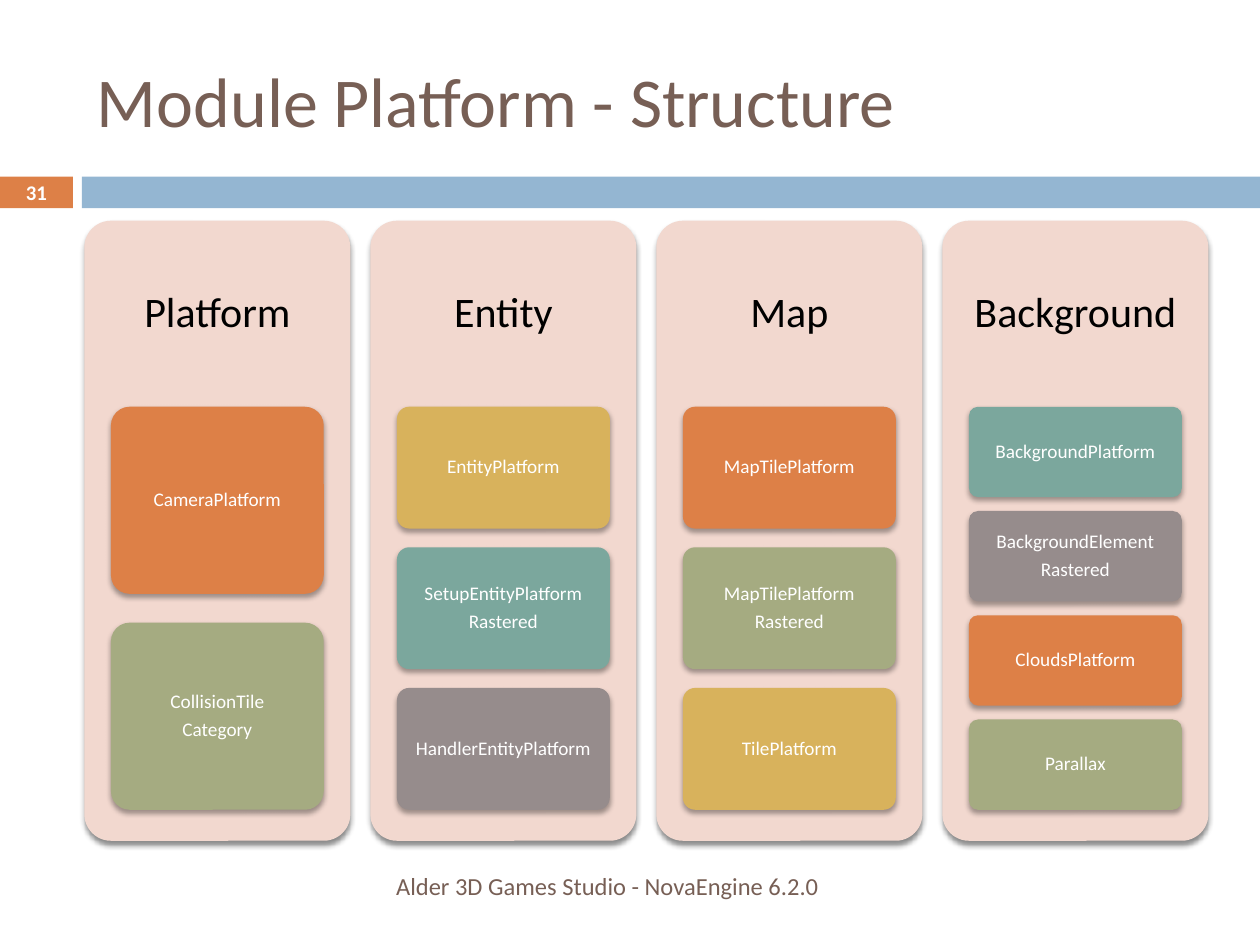
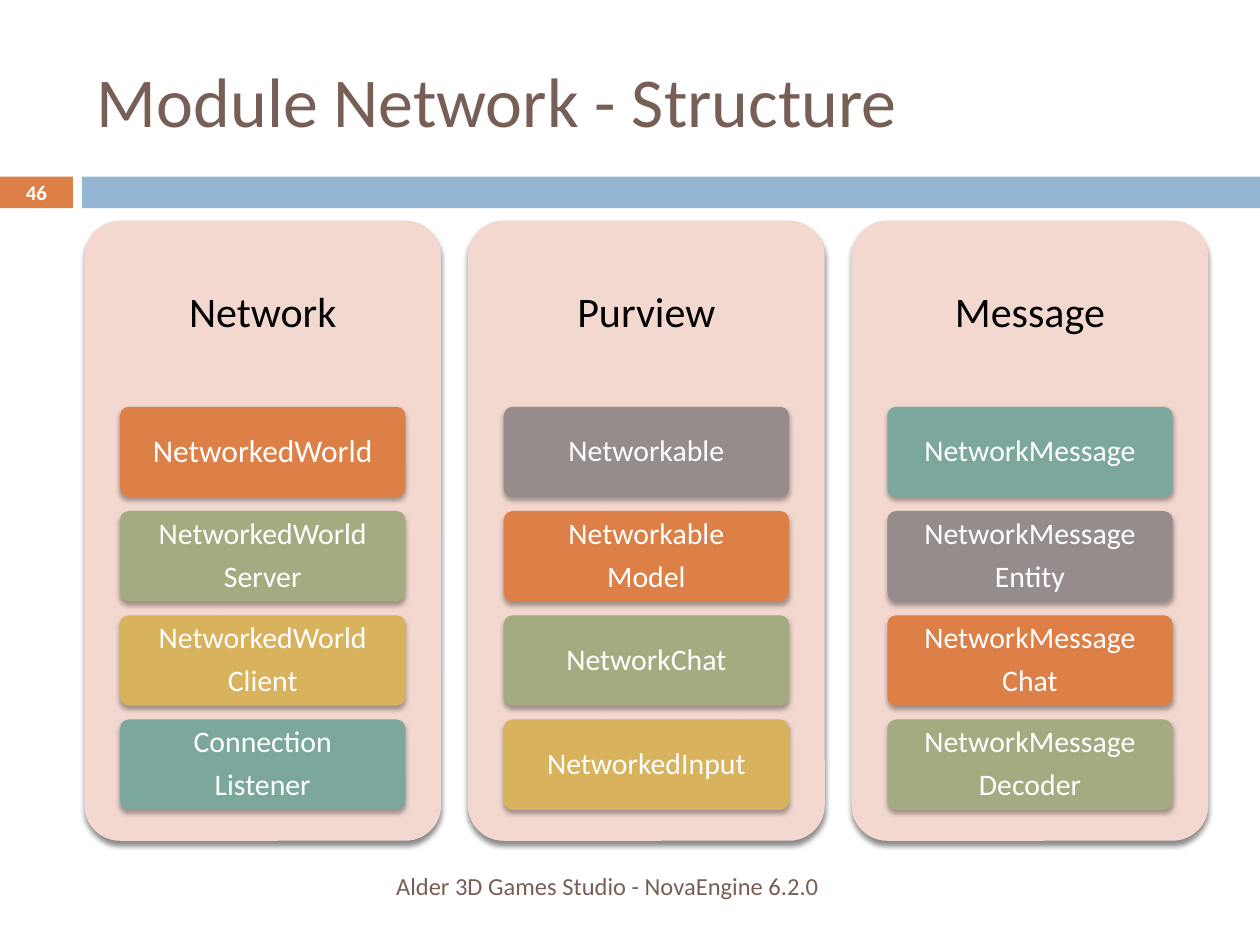
from lxml.etree import SubElement
from pptx import Presentation
from pptx.dml.color import RGBColor
from pptx.enum.shapes import MSO_SHAPE
from pptx.enum.text import MSO_ANCHOR, MSO_AUTO_SIZE, PP_ALIGN
from pptx.oxml.ns import qn
from pptx.util import Cm, Pt

BROWN, ORANGE, BLUE, PINK = "775F55", "DD8047", "94B6D2", "F2D8CF"
WHITE, BLACK = "FFFFFF", "000000"
CARD_COLORS = [ORANGE, "A5AB81", "D8B25C", "7BA79D", "968C8C"]
FOOTER = "Alder 3D Games Studio - NovaEngine 6.2.0"

# All lengths are in centimetres.
CONTENT_LEFT, CONTENT_WIDTH = 1.7, 22.66
PANEL_TOP, PANEL_HEIGHT = 4.45, 12.5
COLUMN_GAP = 0.075   # share of a column's width
CARD_GAP = 2 / 13    # share of a card's height
HEADING_HEIGHT = 0.3 * PANEL_HEIGHT
CARDS_HEIGHT = 0.65 * PANEL_HEIGHT

# Each slide: title, number, card text size, columns of (heading, cards).
SLIDES = [
    ("Module Platform - Structure", "31", 11, [
        ("Platform", ["CameraPlatform", "CollisionTile\nCategory"]),
        ("Entity", ["EntityPlatform", "SetupEntityPlatform\nRastered",
                    "HandlerEntityPlatform"]),
        ("Map", ["MapTilePlatform", "MapTilePlatform\nRastered",
                 "TilePlatform"]),
        ("Background", ["BackgroundPlatform", "BackgroundElement\nRastered",
                        "CloudsPlatform", "Parallax"]),
    ]),
    ("Module Network - Structure", "46", 17, [
        ("Network", ["NetworkedWorld", "NetworkedWorld\nServer",
                     "NetworkedWorld\nClient", "Connection\nListener"]),
        ("Purview", ["Networkable", "Networkable\nModel",
                     "NetworkChat", "NetworkedInput"]),
        ("Message", ["NetworkMessage", "NetworkMessage\nEntity",
                     "NetworkMessage\nChat", "NetworkMessage\nDecoder"]),
    ]),
]


def add_box(slide, kind, box, fill, shadow=None):
    """Add a filled shape without outline; shadow is (opacity %, distance pt)."""
    shape = slide.shapes.add_shape(kind, *map(Cm, box))
    shape.fill.solid()
    shape.fill.fore_color.rgb = RGBColor.from_string(fill)
    shape.line.fill.background()
    shape.shadow.inherit = False
    if kind == MSO_SHAPE.ROUNDED_RECTANGLE:
        shape.adjustments[0] = 0.1
    if shadow:
        opacity, distance = shadow
        effects = shape._element.spPr.find(qn("a:effectLst"))
        outer = SubElement(effects, qn("a:outerShdw"), blurRad=str(Pt(3)),
                           dist=str(Pt(distance)), dir="5400000",
                           rotWithShape="0")
        color = SubElement(outer, qn("a:srgbClr"), val=BLACK)
        SubElement(color, qn("a:alpha"), val=str(opacity * 1000))
    return shape


def write_text(shape, text, size, color, align=PP_ALIGN.CENTER, bold=False,
               margin=None, spaced=False):
    frame = shape.text_frame
    frame.text = text
    frame_format = {"word_wrap": True, "auto_size": MSO_AUTO_SIZE.NONE,
                    "vertical_anchor": MSO_ANCHOR.MIDDLE}
    if margin is not None:
        for side in ("left", "top", "right", "bottom"):
            frame_format[f"margin_{side}"] = Cm(margin)
    for name, value in frame_format.items():
        setattr(frame, name, value)
    paragraph_format = {"alignment": align}
    if spaced:
        paragraph_format.update(line_spacing=0.9, space_after=Pt(0.35 * size))
    font_format = {"name": "Calibri", "size": Pt(size), "bold": bold}
    for paragraph in frame.paragraphs:
        for name, value in paragraph_format.items():
            setattr(paragraph, name, value)
        font = paragraph.runs[0].font
        for name, value in font_format.items():
            setattr(font, name, value)
        font.color.rgb = RGBColor.from_string(color)


presentation = Presentation()
presentation.slide_width, presentation.slide_height = Cm(25.4), Cm(19.05)
title_only = presentation.slide_layouts[5]

for title_text, number, card_size, columns in SLIDES:
    slide = presentation.slides.add_slide(title_only)
    number_band = add_box(slide, MSO_SHAPE.RECTANGLE,
                          (0, 3.56, 1.47, 0.64), ORANGE)
    write_text(number_band, number, 11.9, WHITE, bold=True, margin=0)
    add_box(slide, MSO_SHAPE.RECTANGLE, (1.65, 3.56, 23.75, 0.64), BLUE)

    title = slide.shapes.title
    title.left, title.top = Cm(CONTENT_LEFT), Cm(0.64)
    title.width, title.height = Cm(CONTENT_WIDTH), Cm(2.74)
    write_text(title, title_text, 40, BROWN, align=PP_ALIGN.LEFT)

    footer = slide.shapes.add_textbox(Cm(CONTENT_LEFT), Cm(17.35),
                                      Cm(15.06), Cm(1.02))
    write_text(footer, FOOTER, 14, BROWN, align=PP_ALIGN.RIGHT)

    count = len(columns)
    column_width = CONTENT_WIDTH / (count + COLUMN_GAP * (count - 1))
    card_number = 0
    for column, (heading_text, cards) in enumerate(columns):
        left = CONTENT_LEFT + column * column_width * (1 + COLUMN_GAP)
        add_box(slide, MSO_SHAPE.ROUNDED_RECTANGLE,
                (left, PANEL_TOP, column_width, PANEL_HEIGHT),
                PINK, shadow=(45, 2.4))
        heading = slide.shapes.add_textbox(
            Cm(left), Cm(PANEL_TOP), Cm(column_width), Cm(HEADING_HEIGHT))
        write_text(heading, heading_text, 24, BLACK, margin=0.25, spaced=True)

        card_height = CARDS_HEIGHT / (len(cards) + CARD_GAP * (len(cards) - 1))
        for row, card_text in enumerate(cards):
            top = (PANEL_TOP + HEADING_HEIGHT
                   + row * card_height * (1 + CARD_GAP))
            card = add_box(slide, MSO_SHAPE.ROUNDED_RECTANGLE,
                           (left + 0.1 * column_width, top,
                            0.8 * column_width, card_height),
                           CARD_COLORS[card_number % len(CARD_COLORS)],
                           shadow=(35, 2))
            size = 18 if card_text == "NetworkedWorld" else card_size
            write_text(card, card_text, size, WHITE, margin=0.1, spaced=True)
            card_number += 1

presentation.save("out.pptx")
